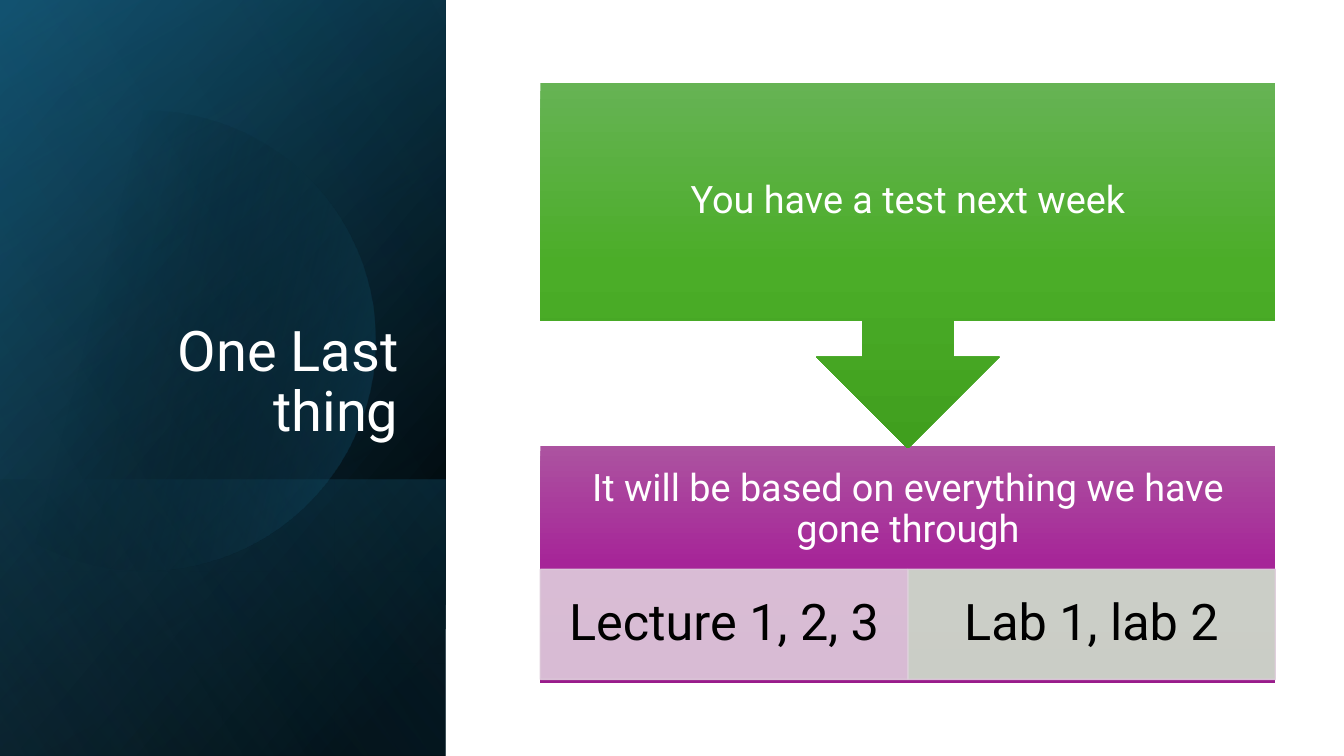
import math
from collections import namedtuple
from dataclasses import dataclass

from lxml import etree
from pptx import Presentation
from pptx import util as u
from pptx.dml.color import RGBColor
from pptx.enum import shapes, text
from pptx.oxml import ns

Box = namedtuple("Box", "left top width height")


@dataclass(frozen=True)
class Theme:
    font: str = "Roboto"
    title_size: int = 40
    step_size: int = 27
    detail_size: int = 36
    light: str = "FFFFFF"
    dark: str = "000000"
    navy: str = "104862"
    teal: str = "156082"
    sky: str = "46B1E1"
    detail_line: str = "DFCDDC"
    detail_fills: tuple = ("DFCDDC", "D0E1CD")
    detail_opacity: int = 90
    green: tuple = ((0, "66B354", 100), (50, "4BAD28", 100), (100, "409F1E", 100))
    purple: tuple = ((0, "AC53A0", 100), (50, "A62598", 100), (100, "991C8B", 100))


THEME = Theme()


def lengths(box):
    return [u.Cm(value) for value in box]


def set_opacity(color_element, percent):
    alpha = etree.SubElement(color_element, ns.qn("a:alpha"))
    alpha.set("val", str(percent * 1000))


def fill_gradient(shape, stops, angle):
    """Fill with (position, colour, opacity) stops; the angle runs clockwise."""
    shape.shadow.inherit = False
    shape.line.fill.background()
    shape.fill.gradient()
    gradient = shape.element.spPr.find(ns.qn("a:gradFill"))
    for child in list(gradient):
        gradient.remove(child)
    stop_list = etree.SubElement(gradient, ns.qn("a:gsLst"))
    for position, color, opacity in stops:
        stop = etree.SubElement(stop_list, ns.qn("a:gs"), pos=str(position * 1000))
        color_element = etree.SubElement(stop, ns.qn("a:srgbClr"), val=color)
        set_opacity(color_element, opacity)
    etree.SubElement(gradient, ns.qn("a:lin"), ang=str(angle * 60000), scaled="0")


def write(shape, wording, size, color, align=text.PP_ALIGN.CENTER,
          anchor=text.MSO_ANCHOR.MIDDLE, insets=(0.25, 0.13, 0.25, 0.13)):
    frame = shape.text_frame
    frame.word_wrap = True
    frame.vertical_anchor = anchor
    (frame.margin_left, frame.margin_top,
     frame.margin_right, frame.margin_bottom) = lengths(insets)
    paragraph = frame.paragraphs[0]
    paragraph.text = wording
    paragraph.alignment = align
    paragraph.line_spacing = 0.9
    paragraph.font.name = THEME.font
    paragraph.font.size = u.Pt(size)
    paragraph.font.color.rgb = RGBColor.from_string(color)


def add_gradient_shape(slide, kind, box, stops, angle):
    shape = slide.shapes.add_shape(kind, *lengths(box))
    fill_gradient(shape, stops, angle)
    return shape


def add_cut_circle(slide, box):
    """Large faint circle, cut off by the left edge of the box."""
    center_x, center_y, radius = box.left + 3.66, box.top + 8.58, 5.8
    reach = math.acos((box.left - center_x) / radius)
    steps = 90
    angles = [reach * (2 * step / steps - 1) for step in range(steps + 1)]
    points = [(u.Cm(center_x + radius * math.cos(angle)),
               u.Cm(center_y + radius * math.sin(angle))) for angle in angles]
    builder = slide.shapes.build_freeform(*points[0])
    builder.add_line_segments(points[1:], close=True)
    fill_gradient(builder.convert_to_shape(),
                  ((29, THEME.dark, 0), (100, THEME.teal, 43)), 14)


def add_title_panel(slide, box, title):
    rectangle = shapes.MSO_SHAPE.RECTANGLE
    lower_height = 6.96
    lower = Box(box.left, box.top + box.height - lower_height, box.width, lower_height)
    layers = (
        (box, ((8, THEME.dark, 100), (100, THEME.navy, 100)), 220),
        (box, ((0, THEME.dark, 0), (99, THEME.teal, 46)), 240),
        (lower, ((2, THEME.teal, 29), (100, THEME.dark, 30)), 140),
    )
    for area, stops, angle in layers:
        add_gradient_shape(slide, rectangle, area, stops, angle)
    add_cut_circle(slide, box)
    add_gradient_shape(slide, rectangle, box,
                       ((0, THEME.dark, 0), (99, THEME.sky, 11)), 150)
    title_box = Box(box.left + 1.63, box.top + 4.67, 8.66, 6.65)
    write(slide.shapes.add_textbox(*lengths(title_box)), title, THEME.title_size,
          THEME.light, text.PP_ALIGN.RIGHT, text.MSO_ANCHOR.BOTTOM)


def add_detail(slide, box, wording, color):
    shape = slide.shapes.add_shape(shapes.MSO_SHAPE.RECTANGLE, *lengths(box))
    shape.shadow.inherit = False
    shape.line.width = u.Pt(1)
    for fill, fill_color in ((shape.fill, color), (shape.line.fill, THEME.detail_line)):
        fill.solid()
        fill.fore_color.rgb = RGBColor.from_string(fill_color)
    for color_element in shape.element.spPr.iter(ns.qn("a:srgbClr")):
        set_opacity(color_element, THEME.detail_opacity)
    write(shape, wording, THEME.detail_size, THEME.dark, insets=(0.71, 0.13, 0.71, 0.13))


def add_process(slide, box, first_step, second_step, details):
    """Step with a down arrow above a second step that holds a row of details."""
    padding = 0.53
    step_height, header_height, detail_height = 5.99, 3.12, 2.77
    second_box = Box(box.left, box.top + box.height - step_height, box.width, step_height)
    second = add_gradient_shape(slide, shapes.MSO_SHAPE.RECTANGLE, second_box,
                                THEME.purple, 90)
    write(second, second_step, THEME.step_size, THEME.light,
          insets=(padding, padding, padding, step_height - 3.25 + padding))

    detail_width = box.width / len(details)
    for index, (wording, color) in enumerate(zip(details, THEME.detail_fills)):
        add_detail(slide, Box(box.left + index * detail_width,
                              second_box.top + header_height,
                              detail_width, detail_height), wording, color)

    first_box = Box(box.left, box.top, box.width, 9.22)
    first = add_gradient_shape(slide, shapes.MSO_SHAPE.DOWN_ARROW_CALLOUT, first_box,
                               THEME.green, 90)
    first.adjustments[3] = 0.65
    write(first, first_step, THEME.step_size, THEME.light, insets=(padding,) * 4)


def main():
    presentation = Presentation()
    presentation.slide_width = u.Cm(33.87)
    presentation.slide_height = u.Cm(19.05)
    slide = presentation.slides.add_slide(presentation.slide_layouts[6])
    add_title_panel(slide, Box(0, 0, 11.23, 19.05), "One Last thing")
    add_process(slide, Box(13.62, 2.08, 18.52, 15.14),
                "You have a test next week",
                "It will be based on everything we have gone through",
                ("Lecture 1, 2, 3", "Lab 1, lab 2"))
    presentation.save("out.pptx")


if __name__ == "__main__":
    main()
